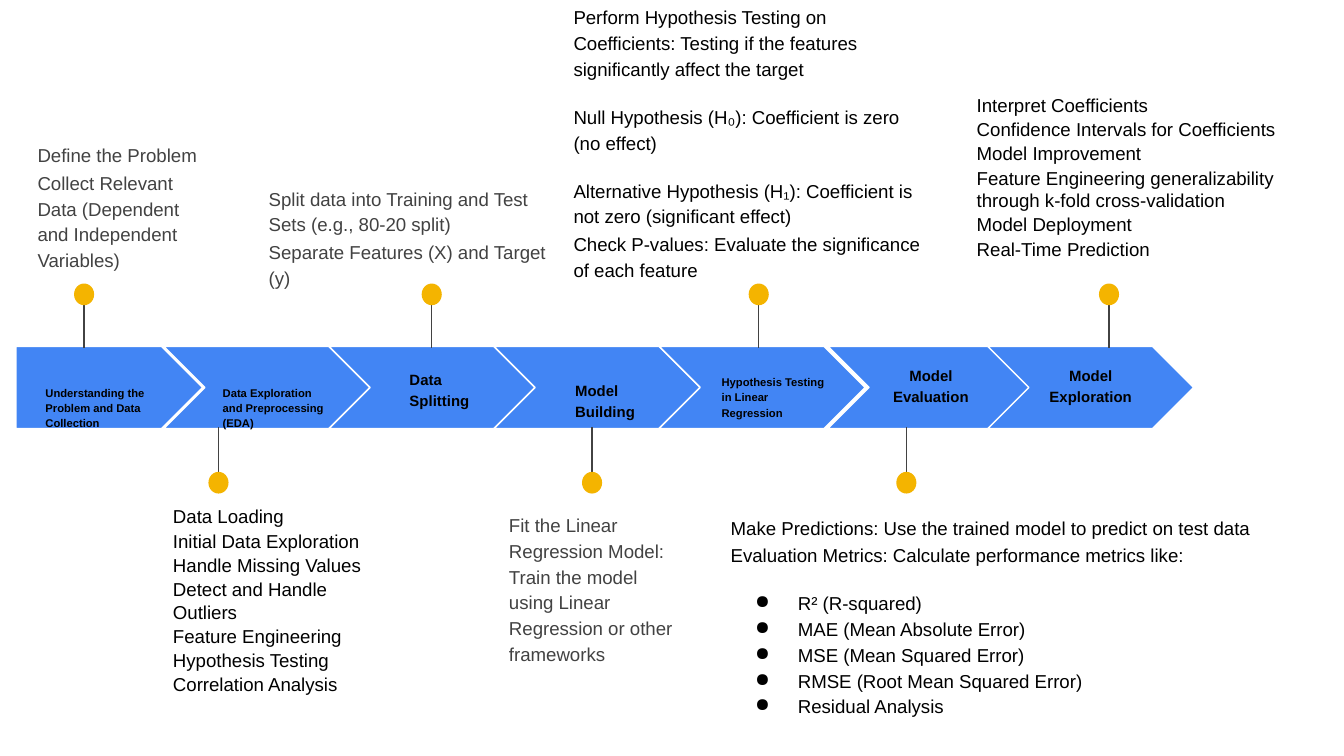
import lxml.etree
import pptx
import pptx.dml.color
import pptx.enum.shapes
import pptx.enum.text
import pptx.oxml.ns
import pptx.util

Cm = pptx.util.Cm
Pt = pptx.util.Pt
Shape = pptx.enum.shapes.MSO_SHAPE
Anchor = pptx.enum.text.MSO_ANCHOR
Align = pptx.enum.text.PP_ALIGN
COLORS = {"blue": "4285F4", "yellow": "F4B400", "gray": "424242", "black": "000000", "white": "FFFFFF"}


def color(name):
    """Look up a palette colour."""
    return pptx.dml.color.RGBColor.from_string(COLORS[name])


def add_element(parent, tag, **attributes):
    """Append a drawing element to a parent element."""
    return lxml.etree.SubElement(parent, pptx.oxml.ns.qn(tag), **attributes)


def write(para, text, size=10, ink="black", bold=False, spacing=1.15, before=0, align=Align.LEFT, bullet=False):
    """Fill a paragraph with formatted text."""
    if bullet:
        props = para._p.get_or_add_pPr()
        props.set("marL", str(Cm(1.27)))
        props.set("indent", str(Cm(-0.81)))
        add_element(add_element(props, "a:buClr"), "a:srgbClr", val=COLORS[ink])
        add_element(props, "a:buChar", char="●")
    para.alignment = align
    para.line_spacing = spacing
    para.space_before = Pt(before)
    span = para.add_run()
    span.text = text
    span.font.name = "Arial"
    span.font.size = Pt(size)
    span.font.bold = bold
    span.font.color.rgb = color(ink)


class Timeline:
    """Holds the style and the current page."""

    arrow_top, arrow_height = 6.55, 1.55
    dot_width, dot_height = 0.38, 0.41

    def __init__(self, page):
        """Start drawing on a page."""
        self.page = page

    def shape(self, kind, left, top, width, height, fill):
        """Add a flat filled shape."""
        shape = self.page.shapes.add_shape(kind, Cm(left), Cm(top), Cm(width), Cm(height))
        shape.shadow.inherit = False
        shape.fill.solid()
        shape.fill.fore_color.rgb = color(fill)
        shape.line.fill.background()
        return shape

    def fill_text(self, frame, texts, inset, anchor, **style):
        """Write paragraphs, each a string or a string with its own format."""
        frame.word_wrap = True
        frame.vertical_anchor = anchor
        frame.margin_left = frame.margin_right = Cm(inset)
        frame.margin_top = frame.margin_bottom = Cm(inset)
        for index, item in enumerate(texts):
            text, own = (item, {}) if isinstance(item, str) else item
            para = frame.add_paragraph() if index else frame.paragraphs[0]
            options = {**style, **own}
            if index == 0:
                options["before"] = 0
            write(para, text, **options)

    def arrow(self, left, kind=Shape.CHEVRON, width=3.89, text=None):
        """Add one step of the arrow band."""
        arrow = self.shape(kind, left, self.arrow_top, width, self.arrow_height, "blue")
        arrow.line.fill.solid()
        arrow.line.fill.fore_color.rgb = color("white")
        arrow.line.width = Pt(0.75)
        if text:
            self.fill_text(arrow.text_frame, [text], 0.33, Anchor.TOP, size=8, bold=True, align=Align.CENTER)

    def pin(self, center, above):
        """Add a stem with a dot above or below the band."""
        start, end, dot_top = (5.44, 6.58, 5.36) if above else (9.22, 8.08, 8.92)
        stem = self.page.shapes.add_connector(
            pptx.enum.shapes.MSO_CONNECTOR.STRAIGHT, Cm(center), Cm(start), Cm(center), Cm(end))
        stem.line.color.rgb = color("gray")
        stem.line.width = Pt(0.75)
        add_element(stem._element.spPr, "a:effectLst")
        self.shape(Shape.OVAL, center - self.dot_width / 2, dot_top, self.dot_width, self.dot_height, "yellow")

    def text(self, area, texts, anchor=Anchor.TOP, **style):
        """Add a text box."""
        box = self.page.shapes.add_textbox(*(Cm(length) for length in area))
        self.fill_text(box.text_frame, texts, 0.25, anchor, **style)


LABELS = [
    ((0.61, 7.21, 3.07, 0.97), ["Understanding the Problem and Data Collection"], 6),
    ((3.96, 7.21, 2.49, 0.97), ["Data Exploration and Preprocessing (EDA)"], 6),
    ((7.49, 6.86, 2.49, 0.97), ["Data", "Splitting"], 8),
    ((10.62, 7.32, 2.49, 0.48), ["Model Building"], 8),
    ((13.39, 7.01, 2.49, 0.97), ["Hypothesis Testing in Linear Regression"], 6),
]
NOTES = [
    ((0.46, 2.41, 3.66, 1.78), {"ink": "gray"}, [
        "Define the Problem",
        "Collect Relevant Data (Dependent and Independent Variables)"]),
    ((3.02, 9.3, 4.24, 2.74), {"spacing": 1.0}, [
        "Data Loading", "Initial Data Exploration", "Handle Missing Values", "Detect and Handle Outliers",
        "Feature Engineering", "Hypothesis Testing", "Correlation Analysis"]),
    ((4.83, 3.23, 5.77, 2.44), {"ink": "gray"}, [
        "Split data into Training and Test Sets (e.g., 80-20 split)",
        "Separate Features (X) and Target (y)"]),
    ((9.37, 9.4, 3.66, 3.51), {"ink": "gray"}, [
        "Fit the Linear Regression Model: Train the model using Linear Regression or other frameworks"]),
    ((10.59, -0.2, 7.19, 3.25), {}, [
        "Perform Hypothesis Testing on Coefficients: Testing if the features significantly affect the target",
        ("Null Hypothesis (H₀): Coefficient is zero (no effect)", {"before": 12}),
        ("Alternative Hypothesis (H₁): Coefficient is not zero (significant effect)", {"before": 12}),
        "Check P-values: Evaluate the significance of each feature"]),
    ((13.56, 9.45, 11.63, 4.39), {}, [
        "Make Predictions: Use the trained model to predict on test data",
        "Evaluation Metrics: Calculate performance metrics like:",
        ("R² (R-squared)", {"bullet": True, "before": 12}),
        *((metric, {"bullet": True, "before": 0}) for metric in (
            "MAE (Mean Absolute Error)", "MSE (Mean Squared Error)",
            "RMSE (Root Mean Squared Error)", "Residual Analysis"))]),
    ((18.21, 1.52, 7.19, 3.68), {"spacing": 1.0}, [
        "Interpret Coefficients", "Confidence Intervals for Coefficients", "Model Improvement",
        "Feature Engineering generalizability through k-fold cross-validation",
        "Model Deployment", "Real-Time Prediction"]),
]
PINS = [1.59, 4.13, 8.16, 11.19, 14.34, 17.13, 20.96]


def main():
    """Build the deck."""
    deck = pptx.Presentation()
    deck.slide_width, deck.slide_height = Cm(25.4), Cm(14.29)
    timeline = Timeline(deck.slides.add_slide(deck.slide_layouts[6]))
    timeline.arrow(0.3, Shape.PENTAGON, 3.53)
    for step in range(4):
        timeline.arrow(3.1 + 3.12 * step)
    timeline.arrow(15.65, text="Model Evaluation")
    timeline.arrow(18.67, text="Model Exploration")
    for index, center in enumerate(PINS):
        timeline.pin(center, above=index % 2 == 0)
    for area, texts, size in LABELS:
        timeline.text(area, texts, Anchor.MIDDLE, size=size, bold=True)
    for area, style, texts in NOTES:
        timeline.text(area, texts, before=1, **style)
    deck.save("out.pptx")


if __name__ == "__main__":
    main()
